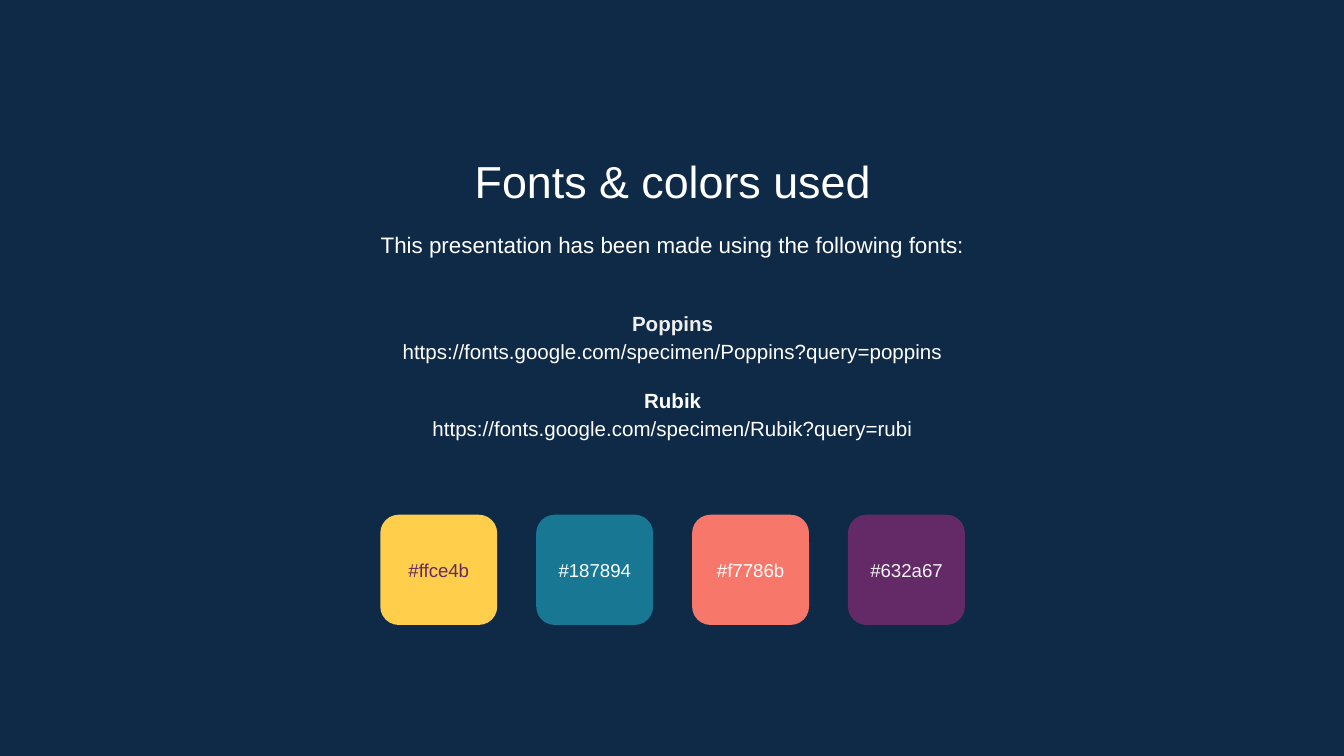
from pptx import Presentation
from pptx.dml.color import RGBColor
from pptx.enum import shapes, text
from pptx.util import Inches, Pt

NAVY = RGBColor(0x0E, 0x2A, 0x47)
WHITE = RGBColor(0xFF, 0xFF, 0xFF)
LIGHT = RGBColor(0xEF, 0xEF, 0xEF)
PALE = RGBColor(0xF2, 0xF2, 0xF2)
YELLOW = RGBColor(0xFF, 0xCE, 0x4B)
TEAL = RGBColor(0x18, 0x78, 0x94)
CORAL = RGBColor(0xF7, 0x78, 0x6B)
PURPLE = RGBColor(0x63, 0x2A, 0x67)

FONT = "Arial"
SLIDE_WIDTH = 10
SLIDE_HEIGHT = SLIDE_WIDTH * 9 / 16
TEXT_LEFT, TEXT_WIDTH = 1.15, 7.71
SWATCH_LEFT, SWATCH_TOP, SWATCH_STEP = 2.83, 3.83, 1.16
SWATCH_WIDTH, SWATCH_HEIGHT = 0.87, 0.82
LABEL_TOP, LABEL_HEIGHT = 4, 0.48

# Label, fill and label colour of each swatch, from left to right
SWATCHES = [
    ("#ffce4b", YELLOW, PURPLE),
    ("#187894", TEAL, WHITE),
    ("#f7786b", CORAL, WHITE),
    ("#632a67", PURPLE, PALE),
]


def format_text(shape, content, size, color=WHITE, spacing=1.0,
                anchor=text.MSO_ANCHOR.TOP):
    """Fill a shape with centred text and return its paragraphs."""
    frame = shape.text_frame
    frame.text = content
    frame.word_wrap = True
    frame.auto_size = text.MSO_AUTO_SIZE.NONE
    frame.vertical_anchor = anchor
    frame.margin_left = frame.margin_right = Inches(0.1)
    frame.margin_top = frame.margin_bottom = Inches(0.1)
    for paragraph in frame.paragraphs:
        paragraph.alignment = text.PP_ALIGN.CENTER
        paragraph.line_spacing = spacing
        paragraph.space_before = Pt(0)
        for run in paragraph.runs:
            run.font.name = FONT
            run.font.size = Pt(size)
            run.font.color.rgb = color
    return frame.paragraphs


def add_title(slide, content):
    title = slide.shapes.title
    title.left, title.top = Inches(TEXT_LEFT), Inches(1.04)
    title.width, title.height = Inches(TEXT_WIDTH), Inches(0.53)
    format_text(title, content, 24)


def add_text(slide, left, top, width, height, content, size, **options):
    box = slide.shapes.add_textbox(
        Inches(left), Inches(top), Inches(width), Inches(height))
    return format_text(box, content, size, **options)


def add_font_list(slide):
    paragraphs = add_text(
        slide, TEXT_LEFT, 2.1, TEXT_WIDTH, 1.37,
        "Poppins\n"
        "https://fonts.google.com/specimen/Poppins?query=poppins\n"
        "Rubik\n"
        "https://fonts.google.com/specimen/Rubik?query=rubi",
        11, spacing=1.15, anchor=text.MSO_ANCHOR.MIDDLE)
    # Font names are bold, with a gap between the two entries
    poppins, rubik = paragraphs[0], paragraphs[2]
    for name in (poppins, rubik):
        name.runs[0].font.bold = True
    poppins.runs[0].font.color.rgb = LIGHT
    rubik.space_before = Pt(11)


def add_swatch(slide, left, label, fill, label_color):
    swatch = slide.shapes.add_shape(
        shapes.MSO_SHAPE.ROUNDED_RECTANGLE, Inches(left), Inches(SWATCH_TOP),
        Inches(SWATCH_WIDTH), Inches(SWATCH_HEIGHT))
    swatch.shadow.inherit = False
    swatch.fill.solid()
    swatch.fill.fore_color.rgb = fill
    swatch.line.fill.background()
    add_text(slide, left, LABEL_TOP, SWATCH_WIDTH, LABEL_HEIGHT, label, 10,
             color=label_color, anchor=text.MSO_ANCHOR.MIDDLE)


def main():
    presentation = Presentation()
    presentation.slide_width = Inches(SLIDE_WIDTH)
    presentation.slide_height = Inches(SLIDE_HEIGHT)
    slide = presentation.slides.add_slide(presentation.slide_layouts[5])
    slide.background.fill.solid()
    slide.background.fill.fore_color.rgb = NAVY

    # Heading and fonts
    add_title(slide, "Fonts & colors used")
    add_text(slide, TEXT_LEFT, 1.59, TEXT_WIDTH, 0.48,
             "This presentation has been made using the following fonts:",
             12, spacing=1.15)
    add_font_list(slide)

    # Colour palette
    for index, swatch in enumerate(SWATCHES):
        add_swatch(slide, SWATCH_LEFT + index * SWATCH_STEP, *swatch)

    presentation.save("out.pptx")


if __name__ == "__main__":
    main()
